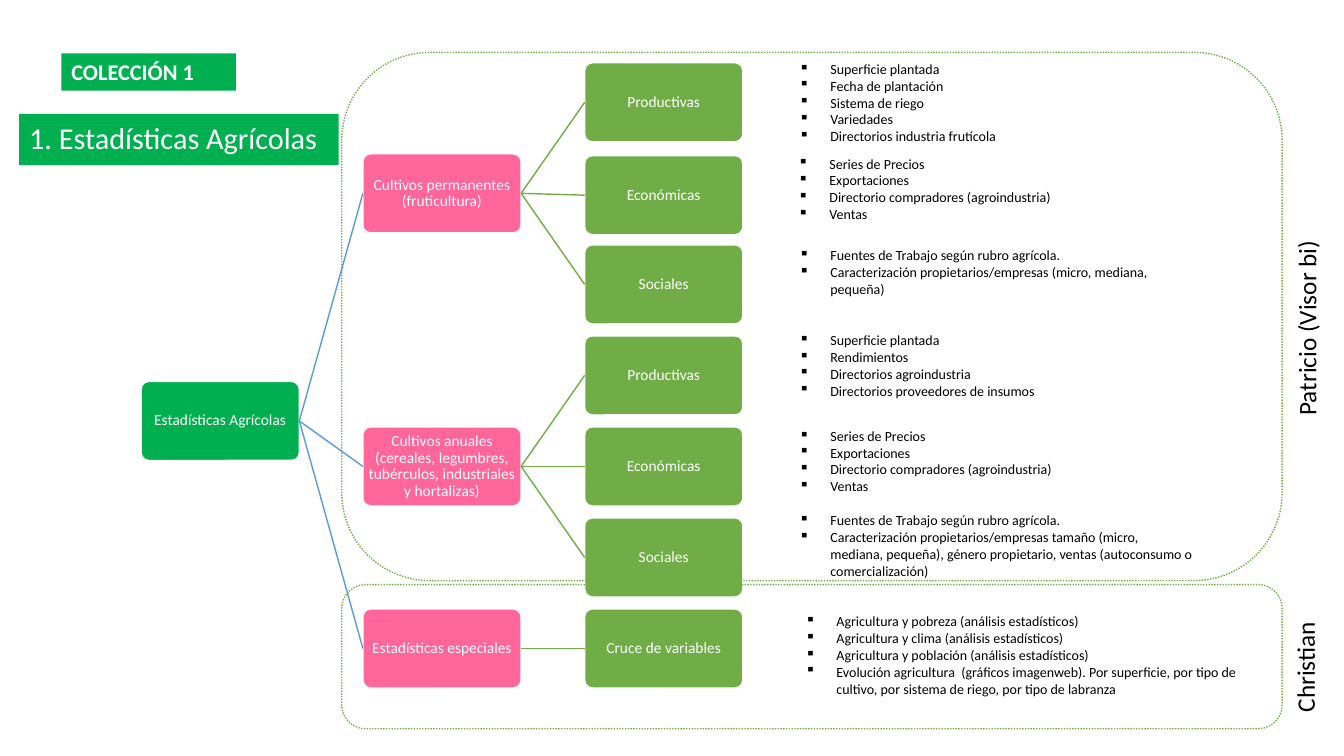
from dataclasses import dataclass

from lxml import etree
from pptx import Presentation
from pptx.dml.color import RGBColor
from pptx.enum import dml, shapes, text
from pptx.oxml.ns import qn
from pptx.util import Inches, Pt

# Page grid: every column and row is a tenth of an inch
CELL = Inches(0.1)
COLUMNS, ROWS = 133.33, 75
FONT = "Calibri"
WHITE, BLACK = "FFFFFF", "000000"
EMERALD, GREEN, PINK, BLUE = "00B050", "70AD47", "FF6699", "5B9BD5"

# Tree layout on the page grid
TREE_LEFT, TREE_TOP = 14, 6.23
TREE_COLUMN, TREE_ROW = 22, 9.03
NODE_WIDTH, NODE_HEIGHT = 15.7, 7.85


@dataclass
class Area:
    left: float
    top: float
    width: float
    height: float


@dataclass
class Node:
    label: str
    row: float
    children: tuple = ()


@dataclass
class Label:
    words: str
    area: Area
    size: float
    colour: str
    fill: str = ""
    bold: bool = False
    rotation: int = 0
    spacing: float = 1.0
    anchor: text.MSO_ANCHOR = text.MSO_ANCHOR.TOP


@dataclass
class Listing:
    area: Area
    items: tuple


TREE = Node("Estadísticas Agrícolas", 3.5, (
    Node("Cultivos permanentes (fruticultura)", 1, (
        Node("Productivas", 0), Node("Económicas", 1.02), Node("Sociales", 2))),
    Node("Cultivos anuales (cereales, legumbres, tubérculos, industriales y hortalizas)", 4, (
        Node("Productivas", 3), Node("Económicas", 4), Node("Sociales", 5))),
    Node("Estadísticas especiales", 6, (Node("Cruce de variables", 6),)),
))
LEVEL_FILLS = (EMERALD, PINK, GREEN)
LEVEL_LINES = (BLUE, GREEN)

PRICES = ("Series de Precios", "Exportaciones",
          "Directorio compradores (agroindustria)", "Ventas")
JOBS = "Fuentes de Trabajo según rubro agrícola."
LISTINGS = (
    Listing(Area(78.3, 5.5, 44.8, 9.4), (
        "Superficie plantada", "Fecha de plantación", "Sistema de riego", "Variedades",
        "Directorios industria frutícola")),
    Listing(Area(78.2, 14.9, 41.1, 7.7), PRICES),
    Listing(Area(78.3, 24, 41.1, 6.1), (
        JOBS, "Caracterización propietarios/empresas (micro, mediana, pequeña)")),
    Listing(Area(78.3, 32.4, 44.8, 7.7), (
        "Superficie plantada", "Rendimientos", "Directorios agroindustria",
        "Directorios proveedores de insumos")),
    Listing(Area(78.3, 41.9, 41.1, 7.7), PRICES),
    Listing(Area(78.3, 50.3, 41.1, 7.7), (
        JOBS, "Caracterización propietarios/empresas tamaño (micro, mediana, pequeña), "
              "género propietario, ventas (autoconsumo o comercialización)")),
    Listing(Area(78.9, 60.3, 45.2, 9.4), (
        "Agricultura y pobreza (análisis estadísticos)",
        "Agricultura y clima (análisis estadísticos)",
        "Agricultura y población (análisis estadísticos)",
        "Evolución agricultura  (gráficos imagenweb). Por superficie, por tipo de cultivo, "
        "por sistema de riego, por tipo de labranza")),
)
LABELS = (
    Label("1. Estadísticas Agrícolas", Area(1.9, 11.3, 31.7, 5.1), 21.6, WHITE, EMERALD,
          spacing=0.9, anchor=text.MSO_ANCHOR.MIDDLE),
    Label("COLECCIÓN 1", Area(6.1, 5.3, 17.3, 3.7), 16, WHITE, EMERALD, bold=True),
    Label("Christian", Area(122.6, 62.8, 13.7, 4), 18, BLACK, rotation=270),
    Label("Patricio (Visor bi)", Area(115, 25.6, 29.2, 4), 18, BLACK, rotation=270),
)
FRAMES = (Area(33.9, 58, 93.3, 14.3), Area(33.9, 5.2, 93.3, 52.4))


def colour_of(code: str) -> RGBColor:
    return RGBColor.from_string(code)


def place(area: Area) -> tuple:
    return tuple(round(n * CELL) for n in (area.left, area.top, area.width, area.height))


def add_span(para, words: str, size: float, colour: str, bold: bool = False) -> None:
    span = para.add_run()
    span.text = words
    span.font.name, span.font.size, span.font.bold = FONT, Pt(size), bold
    span.font.color.rgb = colour_of(colour)


def add_rounded(page, area: Area, line: str):
    box = page.shapes.add_shape(shapes.MSO_SHAPE.ROUNDED_RECTANGLE, *place(area))
    box.shadow.inherit = False
    box.line.color.rgb = colour_of(line)
    box.line.width = Pt(1)
    return box


def add_node(page, node: Node, level: int = 0):
    """Draw a node, then its children, each joined side to side."""
    box = add_rounded(page, Area(TREE_LEFT + level * TREE_COLUMN, TREE_TOP + node.row * TREE_ROW,
                                 NODE_WIDTH, NODE_HEIGHT), WHITE)
    box.adjustments[0] = 0.1
    box.fill.solid()
    box.fill.fore_color.rgb = colour_of(LEVEL_FILLS[level])
    frame = box.text_frame
    frame.word_wrap = True
    frame.vertical_anchor = text.MSO_ANCHOR.MIDDLE
    frame.margin_left = frame.margin_right = Inches(0.03)
    frame.margin_top = frame.margin_bottom = Inches(0.03)
    para = frame.paragraphs[0]
    para.alignment = text.PP_ALIGN.CENTER
    para.line_spacing = 0.9
    add_span(para, node.label, 11, WHITE)
    for child in node.children:
        add_branch(page, box, add_node(page, child, level + 1), LEVEL_LINES[level])
    return box


def add_branch(page, parent, child, colour: str) -> None:
    branch = page.shapes.add_connector(shapes.MSO_CONNECTOR.STRAIGHT, 0, 0, 0, 0)
    branch.begin_connect(parent, 3)
    branch.end_connect(child, 1)
    branch.line.color.rgb = colour_of(colour)
    branch.line.width = Pt(1)
    etree.SubElement(branch._element.spPr, qn("a:effectLst"))


def add_label(page, label: Label) -> None:
    box = page.shapes.add_textbox(*place(label.area))
    box.rotation = label.rotation
    if label.fill:
        box.fill.solid()
        box.fill.fore_color.rgb = colour_of(label.fill)
    box.text_frame.word_wrap = True
    box.text_frame.vertical_anchor = label.anchor
    para = box.text_frame.paragraphs[0]
    para.line_spacing = label.spacing
    add_span(para, label.words, label.size, label.colour, label.bold)


def add_listing(page, listing: Listing) -> None:
    box = page.shapes.add_textbox(*place(listing.area))
    frame = box.text_frame
    frame.word_wrap = True
    for index, item in enumerate(listing.items):
        para = frame.add_paragraph() if index else frame.paragraphs[0]
        add_span(para, item, 10, BLACK)
        settings = para._p.get_or_add_pPr()
        settings.set("marL", str(Inches(0.31)))
        settings.set("indent", str(-Inches(0.31)))
        etree.SubElement(settings, qn("a:buChar")).set("char", "▪")


def add_frame(page, area: Area) -> None:
    border = add_rounded(page, area, GREEN)
    border.fill.background()
    border.line.dash_style = dml.MSO_LINE.ROUND_DOT


def main() -> None:
    deck = Presentation()
    deck.slide_width, deck.slide_height = round(COLUMNS * CELL), round(ROWS * CELL)
    page = deck.slides.add_slide(deck.slide_layouts[6])
    # Tree of statistics
    add_node(page, TREE)
    # Bulleted details beside the tree
    for listing in LISTINGS:
        add_listing(page, listing)
    # Dotted frames, headings and names of those in charge
    for area in FRAMES:
        add_frame(page, area)
    for label in LABELS:
        add_label(page, label)
    deck.save("out.pptx")


if __name__ == "__main__":
    main()
